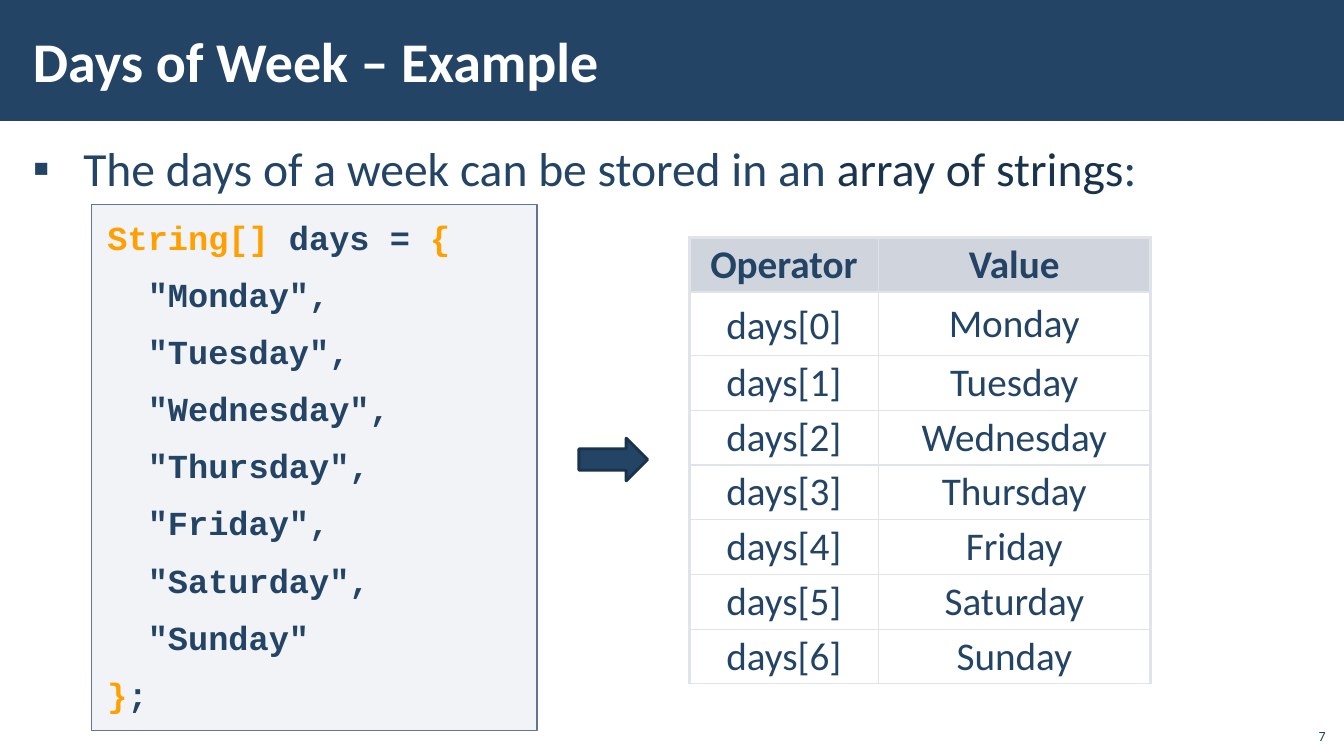
from dataclasses import dataclass

from lxml.etree import SubElement
from pptx import Presentation
from pptx.dml.color import RGBColor
from pptx.enum.shapes import MSO_SHAPE
from pptx.enum.text import MSO_ANCHOR, MSO_AUTO_SIZE, PP_ALIGN
from pptx.oxml.ns import qn
from pptx.util import Cm, Pt

# Content
TITLE = "Days of Week – Example"
PAGE = "7"
DAYS = ["Monday", "Tuesday", "Wednesday", "Thursday", "Friday", "Saturday", "Sunday"]
HEADER = ("Operator", "Value")
ROWS = [HEADER] + [(f"days[{i}]", day) for i, day in enumerate(DAYS)]


@dataclass(frozen=True)
class Theme:
    navy: str = "234465"
    dark: str = "1A334C"
    orange: str = "FFA000"
    white: str = "FFFFFF"
    code_fill: str = "ADB4C3"
    code_line: str = "67748E"
    arrow_line: str = "1A324B"
    header_fill: str = "A3ABBC"
    grid: str = "E0E3E9"
    text_font: str = "Calibri"
    code_font: str = "Courier New"
    title_size: int = 40
    body_size: int = 34
    table_size: int = 28
    code_size: int = 24
    page_size: int = 10


THEME = Theme()

STATEMENT = [("The days of a week can be stored in an ", THEME.navy),
             ("array of strings", THEME.dark), (":", THEME.navy)]
# Each code line: indent in characters, then coloured pieces
CODE = [
    (0, [("String[]", THEME.orange), (" days = ", THEME.navy), ("{", THEME.orange)]),
    *[(2, [(f'"{day}",', THEME.navy)]) for day in DAYS[:-1]],
    (2, [(f'"{DAYS[-1]}"', THEME.navy)]),
    (0, [("}", THEME.orange), (";", THEME.navy)]),
]


def apply(target, formats):
    for name, value in formats.items():
        setattr(target, name, value)


def place(shape, left, top, width, height):
    apply(shape, dict(left=Cm(left), top=Cm(top), width=Cm(width), height=Cm(height)))


def frame_format(frame, x=0.3, y=0.11, anchor=MSO_ANCHOR.TOP):
    apply(frame, dict(margin_left=Cm(x), margin_right=Cm(x), margin_top=Cm(y),
                      margin_bottom=Cm(y), vertical_anchor=anchor,
                      word_wrap=True, auto_size=MSO_AUTO_SIZE.NONE))


def write(paragraph, pieces, size, font=THEME.text_font, bold=False, **formats):
    apply(paragraph, formats)
    for text, color in pieces:
        run = paragraph.add_run()
        run.text = text
        apply(run.font, dict(size=Pt(size), name=font, bold=bold))
        run.font.color.rgb = RGBColor.from_string(color)


def indent(paragraph, left, first=0):
    properties = paragraph._p.get_or_add_pPr()
    properties.set("marL", str(left))
    properties.set("indent", str(first))
    return properties


def paint(fill, color, alpha=100):
    fill.solid()
    fill.fore_color.rgb = RGBColor.from_string(color)
    if alpha < 100:
        tint = fill._xPr.find(qn("a:solidFill"))[0]
        SubElement(tint, qn("a:alpha"), val=str(alpha * 1000))


def add_box(kind, bounds, color, alpha=100, line=None, weight=1):
    box = slide.shapes.add_shape(kind, 0, 0, 0, 0)
    place(box, *bounds)
    box.shadow.inherit = False
    paint(box.fill, color, alpha)
    if line:
        paint(box.line.fill, line)
        box.line.width = Pt(weight)
    else:
        box.line.fill.background()
    return box


def add_border(cell, side, weight):
    edge = SubElement(cell._tc.get_or_add_tcPr(), qn(f"a:ln{side}"), w=str(Pt(weight)))
    fill = SubElement(edge, qn("a:solidFill"))
    SubElement(fill, qn("a:srgbClr"), val=THEME.grid)


deck = Presentation()
apply(deck, dict(slide_width=Cm(33.87), slide_height=Cm(19.05)))
slide = deck.slides.add_slide(deck.slide_layouts[1])
title, body = slide.placeholders

# Title band, behind everything else
band = add_box(MSO_SHAPE.RECTANGLE, (0, 0, 33.87, 3.05), THEME.navy)
slide.shapes._spTree.insert(2, band._element)

# Title
place(title, 0.53, 0.28, 27, 2.46)
frame_format(title.text_frame, anchor=MSO_ANCHOR.MIDDLE)
write(title.text_frame.paragraphs[0], [(TITLE, THEME.white)], THEME.title_size,
      bold=True, alignment=PP_ALIGN.LEFT)

# Bulleted statement
place(body, 0.53, 3.33, 32.82, 15.44)
frame_format(body.text_frame)
statement = body.text_frame.paragraphs[0]
write(statement, STATEMENT, THEME.body_size, line_spacing=1.05,
      space_before=Pt(6), space_after=Pt(6))
bullet = indent(statement, Cm(1.27), -Cm(1.27))
SubElement(bullet, qn("a:buFont"), typeface=THEME.text_font)
SubElement(bullet, qn("a:buChar"), char="▪")

# Code panel
panel = add_box(MSO_SHAPE.RECTANGLE, (2.31, 5.16, 11.22, 13.25), THEME.code_fill, 15,
                THEME.code_line)
frame_format(panel.text_frame, 0.4, 0.3)
char_width = Pt(THEME.code_size * 0.6)
for number, (depth, pieces) in enumerate(CODE):
    code_line = panel.text_frame.add_paragraph() if number else panel.text_frame.paragraphs[0]
    write(code_line, pieces, THEME.code_size, THEME.code_font, True,
          alignment=PP_ALIGN.LEFT, line_spacing=1.0,
          space_before=Pt(6), space_after=Pt(6))
    indent(code_line, depth * char_width)

# Arrow from code to table
add_box(MSO_SHAPE.RIGHT_ARROW, (14.59, 11.04, 1.73, 1.08), THEME.navy,
        line=THEME.arrow_line, weight=2)

# Table of elements
COLUMN_WIDTHS = (4.75, 6.86)
ROW_HEIGHT, FIRST_DAY_HEIGHT = 1.38, 1.6
THIN, THICK = 1, 2.25
grid = slide.shapes.add_table(len(ROWS), len(HEADER), Cm(17.38), Cm(5.98),
                              Cm(sum(COLUMN_WIDTHS)), Cm(ROW_HEIGHT * len(ROWS))).table
apply(grid, dict(first_row=False, horz_banding=False))
for column, width in zip(grid.columns, COLUMN_WIDTHS):
    column.width = Cm(width)
for r, values in enumerate(ROWS):
    grid.rows[r].height = Cm(FIRST_DAY_HEIGHT if r == 1 else ROW_HEIGHT)
    for c, value in enumerate(values):
        cell = grid.cell(r, c)
        apply(cell, dict(margin_left=Cm(0.4), margin_right=Cm(0.4), margin_top=Cm(0.11),
                         margin_bottom=Cm(0.11), vertical_anchor=MSO_ANCHOR.MIDDLE))
        spacing = Pt(38) if (r, c) == (1, 0) else 0.95
        write(cell.text_frame.paragraphs[0], [(value, THEME.navy)], THEME.table_size,
              bold=r == 0, alignment=PP_ALIGN.CENTER, line_spacing=spacing)
        thick_sides = {"L": c == 0, "R": c == len(HEADER) - 1, "T": r < 2, "B": r == 0}
        for side, thick in thick_sides.items():
            add_border(cell, side, THICK if thick else THIN)
        if r == 0:
            paint(cell.fill, THEME.header_fill, 50)
        else:
            cell.fill.background()

# Page number
page = slide.shapes.add_textbox(Cm(32.64), Cm(18.08), Cm(1.02), Cm(0.81))
frame_format(page.text_frame, 0.25, 0.13, MSO_ANCHOR.BOTTOM)
write(page.text_frame.paragraphs[0], [(PAGE, THEME.navy)], THEME.page_size,
      alignment=PP_ALIGN.RIGHT)

deck.save("out.pptx")
